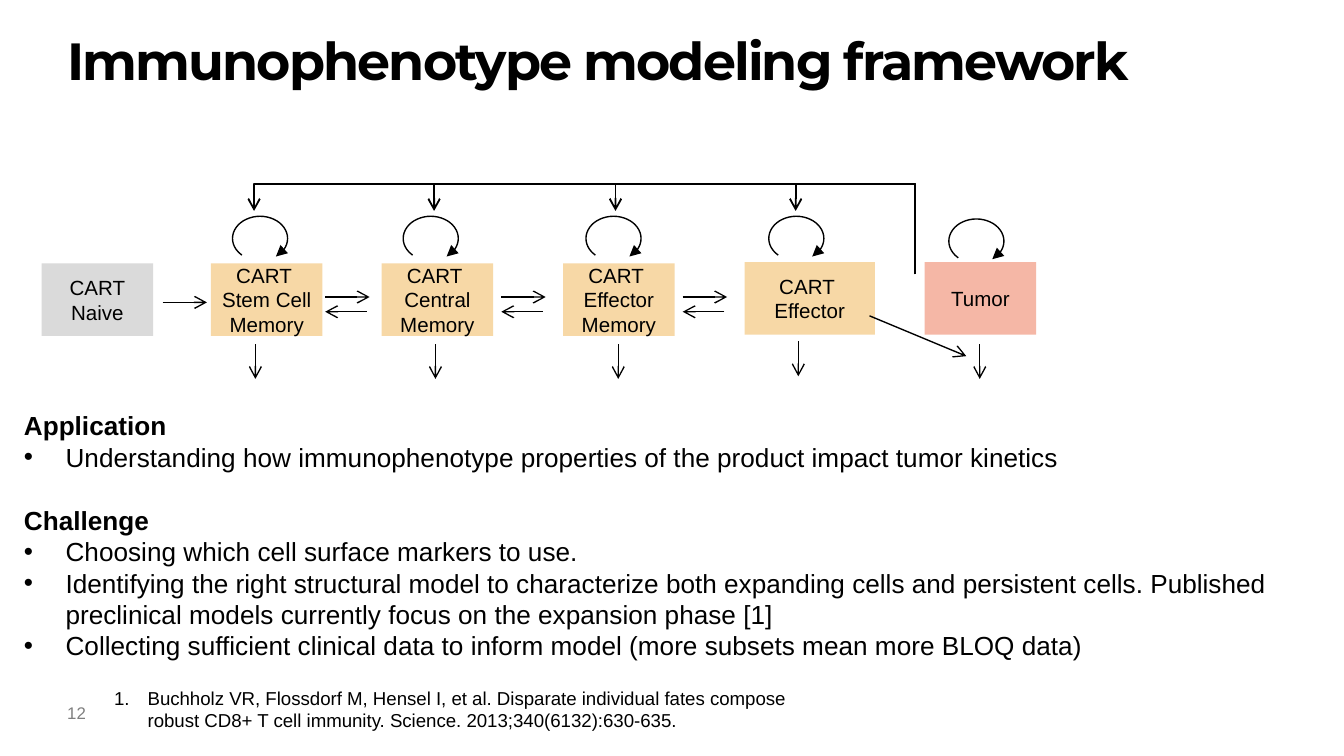
"""Build the immunophenotype modeling framework slide."""
from lxml.etree import SubElement
from pptx import Presentation
from pptx.dml.color import RGBColor
from pptx.enum.shapes import MSO_CONNECTOR as Link, MSO_SHAPE as Kind
from pptx.enum.text import MSO_ANCHOR as Anchor, PP_ALIGN as Align
from pptx.oxml.ns import qn
from pptx.util import Inches, Pt

BLACK = RGBColor(0x00, 0x00, 0x00)
GREY = RGBColor(0x7F, 0x7F, 0x7F)
SILVER = RGBColor(0xDA, 0xDA, 0xDA)
SAND = RGBColor(0xF7, 0xD8, 0xA6)
PINK = RGBColor(0xF5, 0xB7, 0xA6)

prs = Presentation()
prs.slide_width, prs.slide_height = Inches(10), Inches(10 * 9 / 16)
slide = prs.slides.add_slide(prs.slide_layouts[6])
shapes = slide.shapes


def write(shape, text, size, color=BLACK, font="Arial", inset=None):
    frame = shape.text_frame
    frame.word_wrap = True
    if inset is not None:
        frame.margin_left = frame.margin_right = Inches(inset[0])
        frame.margin_top = frame.margin_bottom = Inches(inset[1])
    frame.text = text
    for para in frame.paragraphs:
        for run in para.runs:
            run.font.size, run.font.name = Pt(size), font
            run.font.color.rgb = color
    return frame


def point(shape, head="arrow", width=0.75):
    shape.line.color.rgb = BLACK
    shape.line.width = Pt(width)
    SubElement(shape.line._get_or_add_ln(), qn("a:tailEnd"), type=head)
    props = shape._element.spPr
    if props.find(qn("a:effectLst")) is None:
        SubElement(props, qn("a:effectLst"))


title = shapes.add_textbox(Inches(0.5), Inches(0.26), Inches(9), Inches(1.05))
para = write(title, "Immunophenotype modeling framework", 28,
             font="Montserrat", inset=(0, 0)).paragraphs[0]
para.line_spacing = 0.9
para.runs[0].font.bold = True
para.runs[0].font._element.set("spc", "-100")

cells = [
    (0.31, 1.96, 0.83, SILVER, "CART\nNaive"),
    (1.57, 1.96, 0.83, SAND, "CART \nStem Cell\nMemory"),
    (2.84, 1.96, 0.83, SAND, "CART \nCentral\nMemory"),
    (4.19, 1.96, 0.83, SAND, "CART \nEffector\nMemory"),
    (5.54, 1.95, 0.97, SAND, "CART \nEffector"),
    (6.88, 1.95, 0.83, PINK, "Tumor"),
]
for left, top, width, fill, label in cells:
    box = shapes.add_shape(Kind.RECTANGLE, Inches(left), Inches(top),
                           Inches(width), Inches(0.54))
    box.shadow.inherit = False
    box.fill.solid()
    box.fill.fore_color.rgb = fill
    box.line.fill.background()
    frame = write(box, label, 11, inset=(0, 0.05))
    frame.vertical_anchor = Anchor.MIDDLE
    for para in frame.paragraphs:
        para.alignment = Align.CENTER

loops = [(1.73, 1.61), (3, 1.61), (4.36, 1.61), (5.72, 1.61), (7.06, 1.63)]
for left, top in loops:
    arc = shapes.add_shape(Kind.ARC, Inches(left), Inches(top),
                           Inches(0.41), Inches(0.33))
    arc.adjustments[0], arc.adjustments[1] = 82.4, 29.18
    arc.shadow.inherit = False
    arc.fill.background()
    point(arc, "triangle")

lines = [(1.21, 2.25, 1.54, 2.25), (6.47, 2.35, 7.19, 2.65)]
for x in (2.42, 3.73, 5.08):
    lines += [(x, 2.21, x + 0.33, 2.21), (x + 0.31, 2.32, x, 2.32)]
for x, y in ((1.9, 2.56), (3.24, 2.56), (4.6, 2.56), (5.94, 2.54), (7.29, 2.56)):
    lines.append((x, y, x, y + 0.26))
for ends in lines:
    point(shapes.add_connector(Link.STRAIGHT, *map(Inches, ends)))

for x in (4.58, 3.23, 1.89, 5.92):
    pen = shapes.build_freeform(Inches(6.81), Inches(2.04))
    route = [(6.81, 1.37), (x, 1.37), (x, 1.57)]
    pen.add_line_segments([(Inches(a), Inches(b)) for a, b in route], close=False)
    path = pen.convert_to_shape()
    path.shadow.inherit = False
    path.fill.background()
    point(path, width=1)

body = [
    "Application",
    "Understanding how immunophenotype properties of the product impact tumor kinetics",
    "Challenge",
    "Choosing which cell surface markers to use.",
    "Identifying the right structural model to characterize both expanding cells and "
    "persistent cells. Published preclinical models currently focus on the expansion phase [1]",
    "Collecting sufficient clinical data to inform model (more subsets mean more BLOQ data)",
]
notes = shapes.add_textbox(Inches(0.08), Inches(3), Inches(9.66), Inches(1.99))
frame = write(notes, "\n".join(body), 14)
items = []
for para in frame.paragraphs:
    if para.text in ("Application", "Challenge"):
        para.runs[0].font.bold = True
    else:
        items.append((para, 0.31, "a:buChar", {"char": "•"}))
frame.paragraphs[2].space_before = Pt(17)

cite = shapes.add_textbox(Inches(0.75), Inches(5.06), Inches(5.28), Inches(0.44))
frame = write(cite, "Buchholz VR, Flossdorf M, Hensel I, et al. Disparate individual fates "
              "compose robust CD8+ T cell immunity. Science. 2013;340(6132):630-635.", 10)
items.append((frame.paragraphs[0], 0.25, "a:buAutoNum", {"type": "arabicPeriod"}))

for para, indent, tag, attrs in items:
    props = para._p.get_or_add_pPr()
    props.set("marL", str(Inches(indent)))
    props.set("indent", str(-Inches(indent)))
    SubElement(props, qn("a:buFont"), typeface="Arial")
    SubElement(props, qn(tag), attrs)

number = shapes.add_textbox(Inches(0.5), Inches(5.23), Inches(0.25), Inches(0.25))
write(number, "12", 9, GREY, inset=(0, 0))

prs.save("out.pptx")
